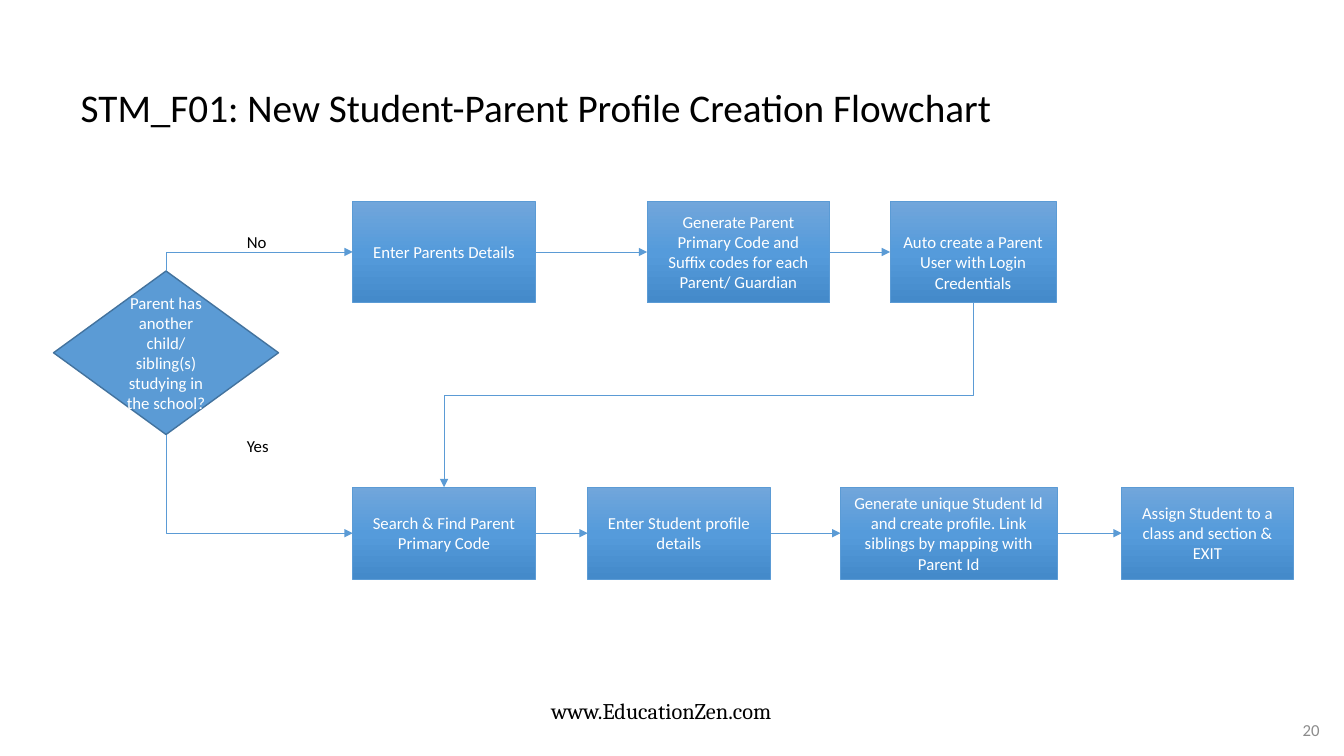
from copy import deepcopy
from dataclasses import dataclass

from pptx import Presentation
from pptx.dml.color import RGBColor
from pptx.enum.shapes import MSO_CONNECTOR as Link, MSO_SHAPE as Preset
from pptx.enum.text import MSO_ANCHOR as Anchor, MSO_AUTO_SIZE as AutoSize, PP_ALIGN as Align
from pptx.oxml.ns import qn
from pptx.oxml.xmlchemy import OxmlElement
from pptx.util import Cm, Pt


@dataclass(frozen=True)
class Theme:
    ink: str = "000000"
    light: str = "FFFFFF"
    muted: str = "8C8C8C"
    blue: str = "5B9BD5"
    diamond_edge: str = "43739E"
    gradient: tuple = ((0, "71A6DB"), (0.5, "559BDB"), (1, "448ACA"))
    font: str = "Calibri"
    footer_font: str = "Cambria"
    title_size: int = 28
    footer_size: int = 16
    text_size: int = 12


theme = Theme()


def write(shape, text, color=theme.ink, size=theme.text_size, font=theme.font,
          align=Align.LEFT, line_spacing=None, **frame_format):
    frame = shape.text_frame
    frame_values = {"word_wrap": True, "auto_size": AutoSize.NONE, **frame_format}
    for name, value in frame_values.items():
        setattr(frame, name, value)
    paragraph = frame.paragraphs[0]
    paragraph.alignment = align
    paragraph.line_spacing = line_spacing
    run = paragraph.add_run()
    run.text = text
    for name, value in {"name": font, "size": Pt(size), "bold": False}.items():
        setattr(run.font, name, value)
    run.font.color.rgb = RGBColor.from_string(color)


def add_step(preset, box, text, edge, edge_width, **text_format):
    shape = slide.shapes.add_shape(preset, *map(Cm, box))
    shape.shadow.inherit = False
    shape.line.color.rgb = RGBColor.from_string(edge)
    shape.line.width = Pt(edge_width)
    write(shape, text, color=theme.light, align=Align.CENTER,
          vertical_anchor=Anchor.MIDDLE, **text_format)
    return shape


presentation = Presentation()
presentation.slide_width = Cm(33.87)
presentation.slide_height = Cm(19.05)
slide = presentation.slides.add_slide(presentation.slide_layouts[5])

title = slide.shapes.title
title_box = {"left": 1.78, "top": 1.07, "width": 27.84, "height": 3.38}
for name, value in title_box.items():
    setattr(title, name, Cm(value))
write(title, "STM_F01: New Student-Parent Profile Creation Flowchart",
      size=theme.title_size, line_spacing=0.9, vertical_anchor=Anchor.MIDDLE)

labels = [
    ((12.07, 17.45, 7.62, 0.94), "www.EducationZen.com",
     {"size": theme.footer_size, "font": theme.footer_font, "align": Align.RIGHT}),
    ((25.5, 17.88, 8.26, 1.02), "20",
     {"color": theme.muted, "align": Align.RIGHT, "margin_right": Cm(0.5),
      "vertical_anchor": Anchor.MIDDLE}),
    ((5.97, 5.72, 1.98, 0.76), "No", {}),
    ((5.97, 10.85, 1.2, 0.76), "Yes", {}),
]
for box, text, text_format in labels:
    write(slide.shapes.add_textbox(*map(Cm, box)), text, **text_format)

decision = add_step(
    Preset.DIAMOND, (1.35, 6.83, 5.67, 4.12),
    "Parent has another child/ sibling(s) studying in the school?",
    theme.diamond_edge, 1)
decision.fill.solid()
decision.fill.fore_color.rgb = RGBColor.from_string(theme.blue)

rows = [
    (5.07, 2.56, [
        (8.89, 4.6, "Enter Parents Details", {}),
        (16.31, 4.6, "Generate Parent Primary Code and Suffix codes for each Parent/ Guardian", {}),
        (22.43, 4.19, "Auto create a Parent User with Login Credentials",
         {"margin_top": Cm(0.64)}),
    ]),
    (12.28, 2.31, [
        (8.89, 4.6, "Search & Find Parent Primary Code", {}),
        (14.81, 4.6, "Enter Student profile details", {}),
        (21.18, 5.46,
         "Generate unique Student Id and create profile. Link siblings by mapping with Parent Id", {}),
        (28.27, 4.32, "Assign Student to a class and section & EXIT", {}),
    ]),
]
steps = []
for top, height, entries in rows:
    row = []
    for left, width, text, text_format in entries:
        step = add_step(Preset.FLOWCHART_PROCESS, (left, top, width, height),
                        text, theme.blue, 0.5, **text_format)
        step.fill.gradient()
        step.fill.gradient_angle = 270
        stop_list = step.element.find(".//" + qn("a:gsLst"))
        stop_list.append(deepcopy(stop_list[0]))
        for stop, (position, color) in zip(step.fill.gradient_stops, theme.gradient):
            stop.position = position
            stop.color.rgb = RGBColor.from_string(color)
        row.append(step)
    steps.append(row)

parent_steps, student_steps = steps
TOP, LEFT, BOTTOM, RIGHT = range(4)
links = [
    (decision, TOP, parent_steps[0], LEFT, "bentConnector2"),
    (decision, BOTTOM, student_steps[0], LEFT, "bentConnector2"),
    (parent_steps[-1], BOTTOM, student_steps[0], TOP, "bentConnector3"),
]
for row in steps:
    links += [(start, RIGHT, end, LEFT, None) for start, end in zip(row, row[1:])]

for start, start_site, end, end_site, bend in links:
    connector = slide.shapes.add_connector(Link.ELBOW if bend else Link.STRAIGHT, 0, 0, 0, 0)
    connector.begin_connect(start, start_site)
    connector.end_connect(end, end_site)
    properties = connector.element.spPr
    if bend:
        across = connector.end_x - connector.begin_x
        down = connector.end_y - connector.begin_y
        center_x = connector.begin_x + across // 2
        center_y = connector.begin_y + down // 2
        turned = {"begin_x": center_x - down // 2, "begin_y": center_y + across // 2,
                  "end_x": center_x + down // 2, "end_y": center_y - across // 2}
        for name, value in turned.items():
            setattr(connector, name, value)
        properties.find(qn("a:xfrm")).set("rot", str(90 * 60000))
        properties.find(qn("a:prstGeom")).set("prst", bend)
    connector.line.color.rgb = RGBColor.from_string(theme.blue)
    connector.line.width = Pt(0.5)
    arrowhead = OxmlElement("a:tailEnd")
    arrowhead.set("type", "triangle")
    properties.find(qn("a:ln")).append(arrowhead)
    properties.append(OxmlElement("a:effectLst"))

presentation.save("out.pptx")
